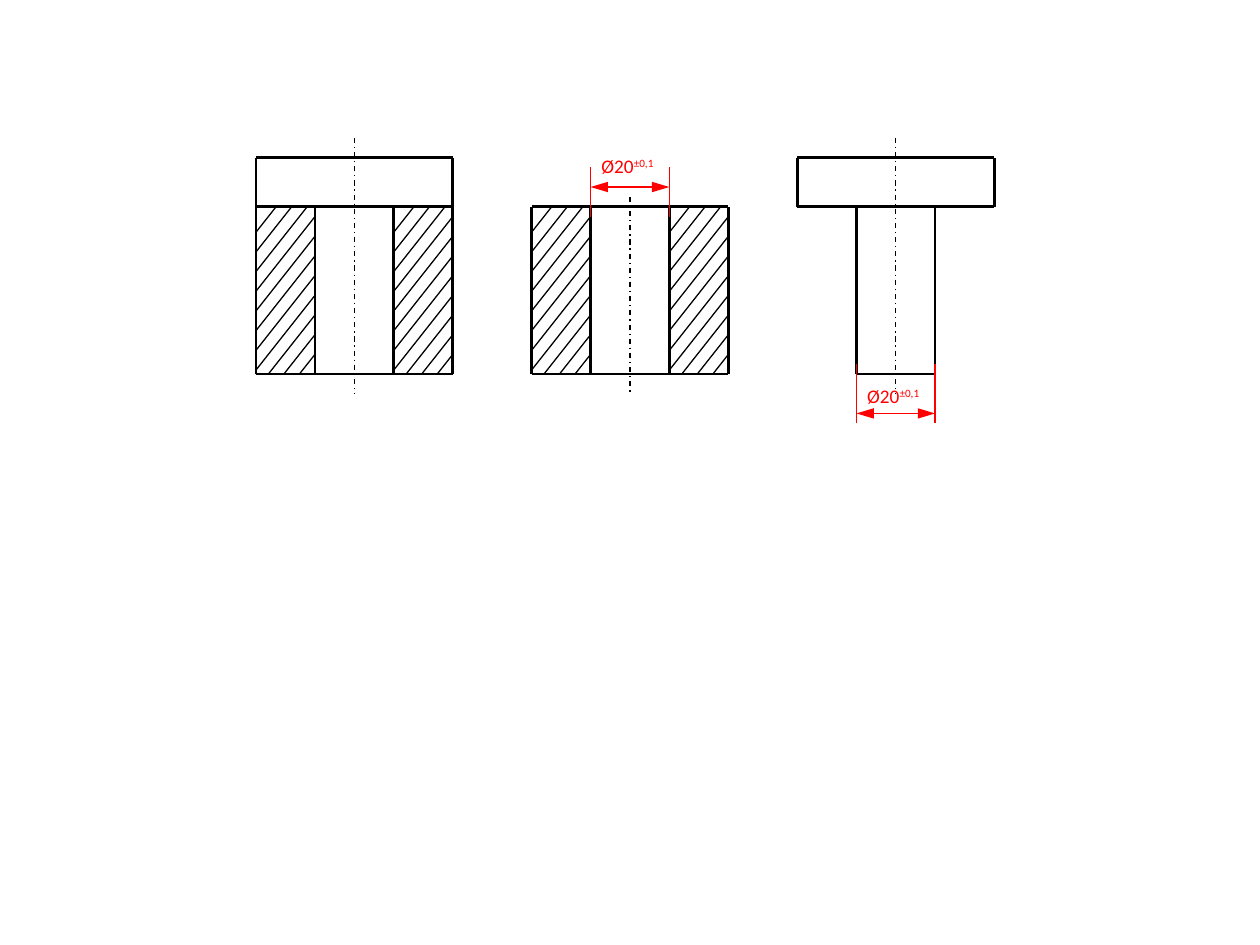
"""Draw a pin, a sleeve and their assembly as a dimensioned sketch."""
from dataclasses import dataclass
from typing import Any, Optional

import lxml.etree
import pptx
import pptx.dml.color
import pptx.enum.dml
import pptx.enum.shapes
import pptx.enum.text
import pptx.oxml.ns
import pptx.util

COLS, ROWS = 64, 48
WIDE, HIGH = pptx.util.Inches(10), pptx.util.Inches(7.5)
TOP, SEAT, BASE = 8, 10.5, 19
WALL, BORE, SPAN = 3, 4, 10
DROP = 3.8


@dataclass(frozen=True)
class Pen:
    color: str
    width: float
    dash: Optional[Any] = None
    tips: bool = False


@dataclass(frozen=True)
class Theme:
    font: str = "Calibri"
    size: float = 11
    red: str = "FF0000"
    edge: Pen = Pen("000000", 1.5)
    hatch: Pen = Pen("000000", 0.75)
    axis: Pen = Pen("000000", 0.75, pptx.enum.dml.MSO_LINE.DASH_DOT)
    guide: Pen = Pen("FF0000", 0.75)
    arrow: Pen = Pen("FF0000", 0.75, tips=True)


@dataclass(frozen=True)
class Mark:
    left: float
    start: float
    end: float
    arrow: float
    label: float


THEME = Theme()
MARKS = [Mark(30, 8.5, 11, 9.5, 7.5), Mark(43.5, 18.5, 21.5, 21, 19.2)]


def col(num: float) -> int:
    return round(WIDE * num / COLS)


def row(num: float) -> int:
    return round(HIGH * num / ROWS)


def line(shapes: Any, x1: float, y1: float, x2: float, y2: float, pen: Pen) -> None:
    link = shapes.add_connector(pptx.enum.shapes.MSO_CONNECTOR.STRAIGHT,
                                col(x1), row(y1), col(x2), row(y2))
    link.line.color.rgb = pptx.dml.color.RGBColor.from_string(pen.color)
    link.line.width = pptx.util.Pt(pen.width)
    if pen.dash is not None:
        link.line.dash_style = pen.dash
    qn = pptx.oxml.ns.qn
    props = link._element.spPr
    if pen.tips:
        for tip in ("a:headEnd", "a:tailEnd"):
            lxml.etree.SubElement(props.find(qn("a:ln")), qn(tip),
                                  type="triangle", w="med", len="lg")
    lxml.etree.SubElement(props, qn("a:effectLst"))


def write(para: Any, text: str, *, font: str, size: float, color: str,
          raised: bool = False) -> None:
    run = para.add_run()
    run.text = text
    run.font.name = font
    run.font.size = pptx.util.Pt(size)
    run.font.color.rgb = pptx.dml.color.RGBColor.from_string(color)
    if raised:
        run.font._element.set("baseline", "30000")


def hatch(shapes: Any, left: float) -> None:
    right = left + WALL
    for step in range(-3, 8):
        high = 11 + step
        low = high + DROP
        start, end = max(high, SEAT), min(low, BASE)
        line(shapes, right - (start - high) * WALL / DROP, start,
             right - (end - high) * WALL / DROP, end, THEME.hatch)


def sleeve(shapes: Any, left: float) -> None:
    right = left + SPAN
    for side in (left, right):
        line(shapes, side, BASE, side, SEAT, THEME.edge)
    line(shapes, right, BASE, left, BASE, THEME.edge)
    for wall in (left, right - WALL):
        hatch(shapes, wall)


def bore(shapes: Any, left: float) -> None:
    for side in (left + WALL, left + WALL + BORE):
        line(shapes, side, BASE, side, SEAT, THEME.edge)
    line(shapes, left + SPAN, SEAT, left, SEAT, THEME.edge)


def pin(shapes: Any, left: float) -> None:
    right = left + SPAN
    for side in (left, right):
        line(shapes, side, SEAT, side, TOP, THEME.edge)
    line(shapes, right, TOP, left, TOP, THEME.edge)
    bore(shapes, left)
    line(shapes, right - WALL, BASE, left + WALL, BASE, THEME.edge)


def axis(shapes: Any, left: float, top: float) -> None:
    mid = left + SPAN / 2
    line(shapes, mid, top, mid, BASE + 1, THEME.axis)


def measure(shapes: Any, mark: Mark) -> None:
    right = mark.left + BORE
    for side in (mark.left, right):
        line(shapes, side, mark.end, side, mark.start, THEME.guide)
    line(shapes, mark.left, mark.arrow, right, mark.arrow, THEME.arrow)
    box = shapes.add_textbox(col(mark.left - 2), row(mark.label), col(8), row(1.85))
    frame = box.text_frame
    frame.word_wrap = True
    frame.auto_size = pptx.enum.text.MSO_AUTO_SIZE.SHAPE_TO_FIT_TEXT
    frame.margin_right = pptx.util.Inches(0.14)
    para = frame.paragraphs[0]
    para.alignment = pptx.enum.text.PP_ALIGN.CENTER
    style = dict(font=THEME.font, size=THEME.size, color=THEME.red)
    write(para, "Ø20", **style)
    write(para, "±0,1", raised=True, **style)


def main() -> None:
    deck = pptx.Presentation()
    deck.slide_width, deck.slide_height = WIDE, HIGH
    shapes = deck.slides.add_slide(deck.slide_layouts[6]).shapes

    sleeve(shapes, 27)
    bore(shapes, 27)
    axis(shapes, 27, SEAT - 0.5)
    pin(shapes, 40.5)
    axis(shapes, 40.5, TOP - 1)
    for mark in MARKS:
        measure(shapes, mark)

    outer = shapes.add_group_shape().shapes
    sleeve(outer, 13)
    axis(outer, 13, TOP - 1)
    pin(shapes.add_group_shape().shapes, 13)
    deck.save("out.pptx")


if __name__ == "__main__":
    main()
